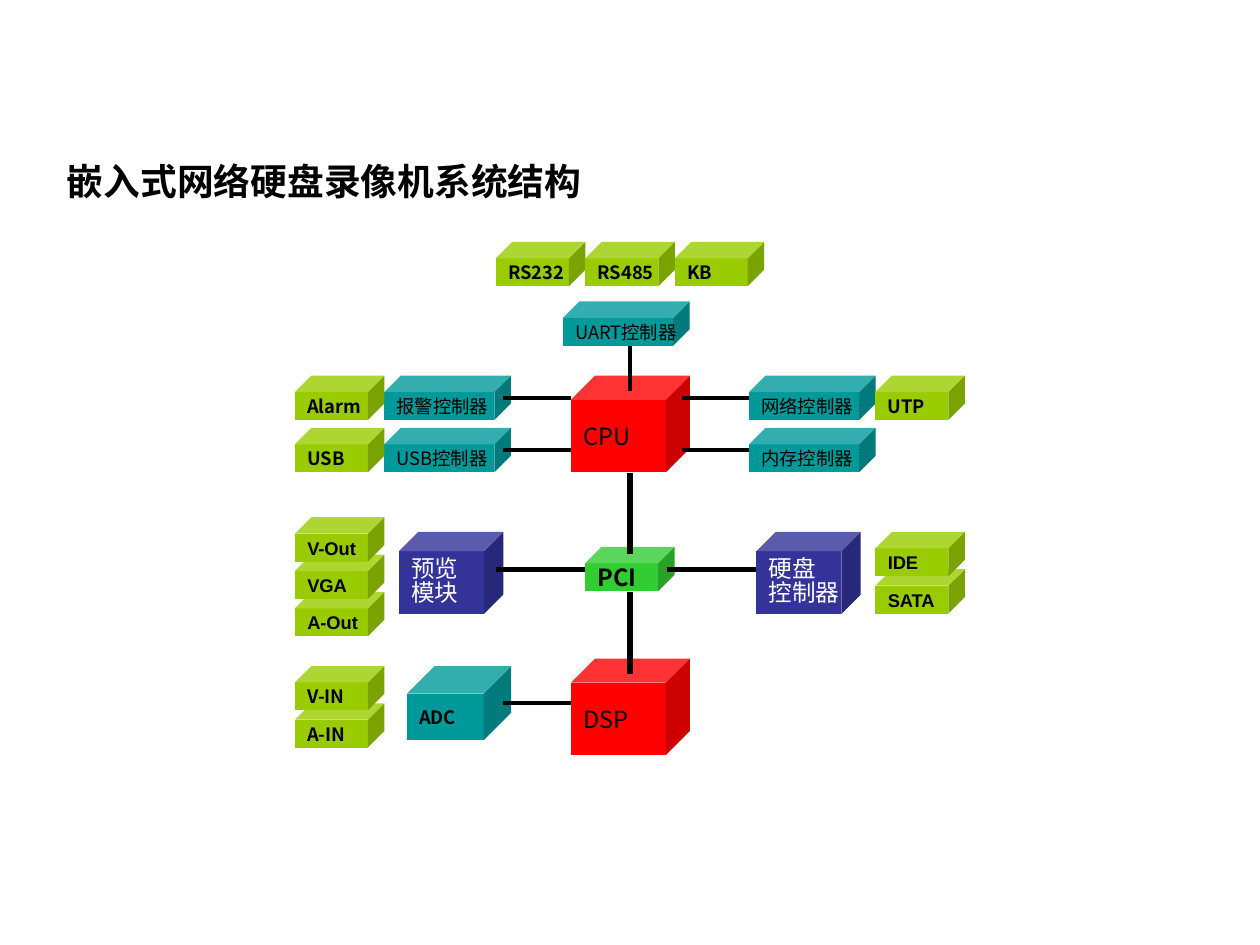
from dataclasses import dataclass

from lxml import etree
from pptx import Presentation
from pptx.dml.color import RGBColor
from pptx.enum.shapes import MSO_CONNECTOR, MSO_SHAPE
from pptx.enum.text import MSO_ANCHOR, PP_ALIGN
from pptx.oxml.ns import qn
from pptx.util import Pt

CUBE = MSO_SHAPE.CUBE
STRAIGHT = MSO_CONNECTOR.STRAIGHT
LEFT = PP_ALIGN.LEFT
MIDDLE = MSO_ANCHOR.MIDDLE


@dataclass(frozen=True)
class Theme:
    black: str = "000000"
    white: str = "FFFFFF"
    lime: str = "99CC00"
    teal: str = "009999"
    red: str = "FF0000"
    green: str = "33CC33"
    indigo: str = "333399"
    sans: str = "Arial"
    cjk: str = "Noto Sans CJK SC"
    title_size: float = 21
    large_size: float = 13.5
    small_size: float = 10.5
    bus_width: float = 3
    link_width: float = 2.25


THEME = Theme()


def write_text(shape, text, *, size, font=THEME.cjk, color=THEME.black,
               bold=False, wrap=False, line_spacing=None):
    """Fill a shape with left-aligned, vertically centred text."""
    frame = shape.text_frame
    frame.text = text
    frame.word_wrap = wrap
    frame.vertical_anchor = MIDDLE
    for paragraph in frame.paragraphs:
        paragraph.alignment = LEFT
        if line_spacing:
            paragraph.line_spacing = line_spacing
        for run in paragraph.runs:
            run.font.name = font
            run.font.size = Pt(size)
            run.font.bold = bold
            run.font.color.rgb = RGBColor.from_string(color)
            east_asian = etree.Element(qn("a:ea"), typeface=THEME.cjk)
            run.font._element.find(qn("a:latin")).addnext(east_asian)


class Diagram:
    """Holds the theme and the current slide; lengths are in points."""

    def __init__(self, slide, theme):
        self.slide = slide
        self.theme = theme

    def title(self, text, left, top, width, height):
        shape = self.slide.shapes.title
        shape.left, shape.top = Pt(left), Pt(top)
        shape.width, shape.height = Pt(width), Pt(height)
        write_text(shape, text, size=self.theme.title_size,
                   font=self.theme.sans, bold=True, wrap=True)

    def cube(self, text, left, top, width, height, fill, depth=0.371, **text_format):
        shape = self.slide.shapes.add_shape(
            CUBE, Pt(left), Pt(top), Pt(width), Pt(height))
        shape.adjustments[0] = depth
        shape.shadow.inherit = False
        shape.fill.solid()
        shape.fill.fore_color.rgb = RGBColor.from_string(fill)
        shape.line.fill.background()
        write_text(shape, text, **text_format)

    def port(self, text, left, top, font=THEME.cjk):
        self.cube(text, left, top, PORT_WIDTH, LOW_HEIGHT, self.theme.lime,
                  size=self.theme.small_size, font=font, bold=True)

    def controller(self, text, left, top):
        self.cube(text, left, top, CONTROLLER_WIDTH, LOW_HEIGHT,
                  self.theme.teal, size=self.theme.small_size)

    def processor(self, text, top):
        self.cube(text, 326.2, top, 68, 55.2, self.theme.red, depth=0.25,
                  size=self.theme.large_size)

    def module(self, text, left):
        self.cube(text, left, BUS_TOP, MODULE_WIDTH, 46.8, self.theme.indigo,
                  depth=0.235, size=self.theme.large_size,
                  color=self.theme.white, line_spacing=0.82)

    def line(self, start, end, width):
        connector = self.slide.shapes.add_connector(
            STRAIGHT, *(Pt(value) for value in (*start, *end)))
        connector.line.width = Pt(width)
        connector.line.color.rgb = RGBColor.from_string(self.theme.black)
        etree.SubElement(connector._element.spPr, qn("a:effectLst"))


# Shared sizes and grid positions
PORT_WIDTH, CONTROLLER_WIDTH, MODULE_WIDTH = 51.1, 72.3, 59.6
LOW_HEIGHT = 25.4
STACK_STEP = 21.3
PORT_LEFT, PORT_RIGHT = 168.5, 500.2
CONTROLLER_LEFT, CONTROLLER_RIGHT = PORT_LEFT + PORT_WIDTH, 428
CPU_TOP, SECOND_ROW_TOP = 214.7, 244.5
BUS_TOP, DSP_TOP = 304, 376.3
CENTER, BUS_Y = 360, 325.3


def main():
    presentation = Presentation()
    presentation.slide_width, presentation.slide_height = Pt(720), Pt(540)
    slide = presentation.slides.add_slide(presentation.slide_layouts[5])
    diagram = Diagram(slide, THEME)
    diagram.title("嵌入式网络硬盘录像机系统结构", 31, 88.6, 538.6, 29.5)

    # Stacked ports, drawn from the bottom up
    stacks = [
        (PORT_LEFT, 295.6, THEME.sans, ["V-Out", "VGA", "A-Out"]),
        (PORT_LEFT, 380.6, THEME.cjk, ["V-IN", "A-IN"]),
        (PORT_RIGHT, BUS_TOP, THEME.sans, ["IDE", "SATA"]),
    ]
    for left, top, font, names in stacks:
        for index, name in reversed(list(enumerate(names))):
            diagram.port(name, left, top + index * STACK_STEP, font)

    # Processors, bus and modules
    diagram.processor("CPU", CPU_TOP)
    diagram.processor("DSP", DSP_TOP)
    diagram.cube("PCI", 334.4, 312.5, PORT_WIDTH, LOW_HEIGHT, THEME.green,
                 size=THEME.large_size, bold=True)
    diagram.module("预览\n模块", 228)
    diagram.module("硬盘\n控制器", 432.2)
    diagram.cube("ADC", 232.5, 380.6, MODULE_WIDTH, 42.5, THEME.teal,
                 size=THEME.small_size, bold=True)

    # Controllers around the CPU
    for name, left, top in [
        ("内存控制器", CONTROLLER_RIGHT, SECOND_ROW_TOP),
        ("网络控制器", CONTROLLER_RIGHT, CPU_TOP),
        ("报警控制器", CONTROLLER_LEFT, CPU_TOP),
        ("USB控制器", CONTROLLER_LEFT, SECOND_ROW_TOP),
        ("UART控制器", 321.7, 172.2),
    ]:
        diagram.controller(name, left, top)

    # Ports beside the controllers and in the top row
    diagram.port("Alarm", PORT_LEFT, CPU_TOP)
    diagram.port("USB", PORT_LEFT, SECOND_ROW_TOP)
    diagram.port("UTP", PORT_RIGHT, CPU_TOP)
    for index, name in enumerate(["RS232", "RS485", "KB"]):
        diagram.port(name, 283.4 + index * PORT_WIDTH, 138.2)

    # Bus lines through PCI
    for start, end in [
        ((CENTER, 270), (CENTER, 316.8)),
        ((CENTER, 338.2), (CENTER, 385)),
        ((283.5, BUS_Y), (334.4, BUS_Y)),
        ((381, BUS_Y), (432.2, BUS_Y)),
    ]:
        diagram.line(start, end, THEME.bus_width)

    # Links from controllers and ADC to the processors
    left_link, right_link = (287.5, 326.2), (389.7, 428)
    for (start_x, end_x), y in [
        (left_link, 227.4), (left_link, 257.2),
        (right_link, 227.4), (right_link, 257.2),
        (left_link, 401.8),
    ]:
        diagram.line((start_x, y), (end_x, y), THEME.link_width)
    diagram.line((CENTER, 223.2), (CENTER, 197.8), THEME.link_width)

    presentation.save("out.pptx")


if __name__ == "__main__":
    main()
